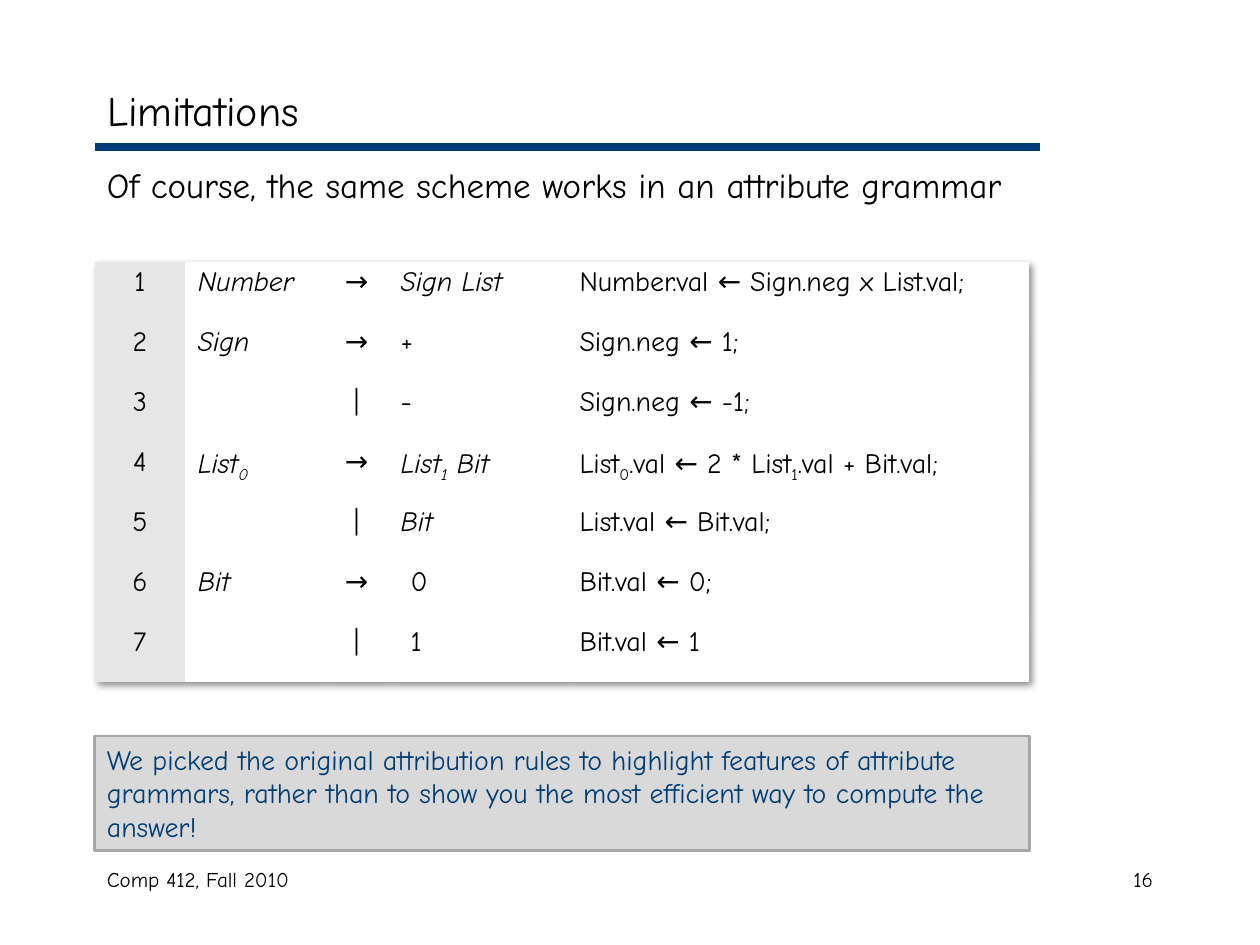
from dataclasses import dataclass
from lxml.etree import SubElement
from pptx import Presentation
from pptx.dml.color import RGBColor
from pptx.enum.shapes import MSO_CONNECTOR as Link, MSO_SHAPE as Shape
from pptx.enum.text import MSO_ANCHOR as Anchor, PP_ALIGN as Align
from pptx.oxml import parse_xml
from pptx.oxml.ns import nsdecls, qn
from pptx.util import Inches, Pt


@dataclass(frozen=True)
class Theme:
    font: str = "Comic Neue"
    black: str = "000000"
    white: str = "FFFFFF"
    blue: str = "003C75"
    panel: str = "D9D9D9"
    edge: str = "A6A6A6"
    index: str = "E6E6E6"
    head: int = 24
    lead: int = 20
    body: int = 16
    foot: int = 12


THEME = Theme()
PLAIN = "{2D5ABB26-0587-4C30-8999-92F81FD0307C}"
SHADOW = f"""<a:effectLst {nsdecls('a')}>
  <a:outerShdw blurRad="50800" dist="38100" dir="2700000" algn="tl" rotWithShape="0">
    <a:srgbClr val="000000"><a:alpha val="43000"/></a:srgbClr>
  </a:outerShdw>
</a:effectLst>"""

COLS = [0.72, 1.11, 0.5, 1.42, 3.67]
RULES = [
    ("Number", "→", "Sign List", "Number.val ← Sign.neg x List.val;"),
    ("Sign", "→", "+", "Sign.neg ← 1;"),
    ("", "|", "-", "Sign.neg ← -1;"),
    ("List_0", "→", "List_1 Bit", "List_0.val ← 2 * List_1.val + Bit.val;"),
    ("", "|", "Bit", "List.val ← Bit.val;"),
    ("Bit", "→", "0", "Bit.val ← 0;"),
    ("", "|", "1", "Bit.val ← 1"),
]


def rgb(code):
    return RGBColor.from_string(code)


def write(frame, text, size=THEME.body, color=THEME.black, align=Align.LEFT,
          anchor=Anchor.TOP, italic=False, space=None):
    """Fill a text frame; an underscore makes the next character a subscript."""
    frame.word_wrap = True
    frame.vertical_anchor = anchor
    para = frame.paragraphs[0]
    para.alignment = align
    para.line_spacing = space
    first, *rest = text.split("_")
    parts = [(first, False)]
    for part in rest:
        parts += [(part[0], True), (part[1:], False)]
    for part, sub in parts:
        if not part:
            continue
        run = para.add_run()
        run.text = part
        font = run.font
        font.name, font.size, font.italic = THEME.font, Pt(size), italic
        font.color.rgb = rgb(color)
        if sub:
            font._element.set("baseline", "-25000")


class Page:
    """Holds the theme and the slide being built."""

    def __init__(self, deck, theme):
        self.theme = theme
        self.slide = deck.slides.add_slide(deck.slide_layouts[5])
        self.shapes = self.slide.shapes

    def title(self, text, x, y, w, h):
        box = self.shapes.title
        box.left, box.top, box.width, box.height = map(Inches, (x, y, w, h))
        write(box.text_frame, text, size=self.theme.head, anchor=Anchor.MIDDLE)

    def text(self, text, x, y, w, h, **style):
        box = self.shapes.add_textbox(*map(Inches, (x, y, w, h)))
        write(box.text_frame, text, **style)

    def line(self, x, y, end):
        link = self.shapes.add_connector(Link.STRAIGHT, *map(Inches, (x, y, end, y)))
        link.line.color.rgb = rgb(self.theme.blue)
        link.line.width = Pt(4.5)
        SubElement(link._element.spPr, qn("a:effectLst"))

    def note(self, text, x, y, w, h):
        box = self.shapes.add_shape(Shape.RECTANGLE, *map(Inches, (x, y, w, h)))
        box.shadow.inherit = False
        box.fill.solid()
        box.fill.fore_color.rgb = rgb(self.theme.panel)
        box.line.color.rgb = rgb(self.theme.edge)
        box.line.width = Pt(1.5)
        write(box.text_frame, text, color=self.theme.blue)

    def grid(self, rules, cols, x, y, h):
        """Draw numbered grammar rules, with words of the grammar in italics."""
        size = map(Inches, (x, y, sum(cols), h))
        table = self.shapes.add_table(len(rules), len(cols), *size).table
        table.first_row = table.horz_banding = False
        props = table._tbl.tblPr
        props.find(qn("a:tableStyleId")).text = PLAIN
        props.insert(0, parse_xml(SHADOW))
        for col, width in zip(table.columns, cols):
            col.width = Inches(width)
        for r, rule in enumerate(rules):
            for c, text in enumerate((str(r + 1), *rule)):
                cell = table.cell(r, c)
                cell.fill.solid()
                cell.fill.fore_color.rgb = rgb(self.theme.white if c else self.theme.index)
                if c == 3 and text.isdigit():
                    cell.margin_left = Inches(0.18)
                write(cell.text_frame, text, space=0.9,
                      align=Align.CENTER if c in (0, 2) else Align.LEFT,
                      italic=c in (1, 3) and text[:1].isalpha())


def main():
    deck = Presentation()
    deck.slide_width, deck.slide_height = Inches(10), Inches(7.5)
    page = Page(deck, THEME)
    left = 0.75
    page.line(left, 1.17, 8.25)
    page.text("Comp 412, Fall 2010", left, 6.83, 3.17, 0.5, size=THEME.foot)
    page.text("16", 7.17, 6.83, 2.08, 0.5, size=THEME.foot, align=Align.RIGHT)
    page.title("Limitations", left, 0.58, 8.5, 0.58)
    page.text("Of course, the same scheme works in an attribute grammar",
              left, 1.25, 8.5, 5.42, size=THEME.lead)
    page.note("We picked the original attribution rules to highlight features of "
              "attribute grammars, rather than to show you the most efficient way "
              "to compute the answer!", left, 5.84, sum(COLS), 0.91)
    page.grid(RULES, COLS, left, 2.08, 3.33)
    deck.save("out.pptx")


if __name__ == "__main__":
    main()
